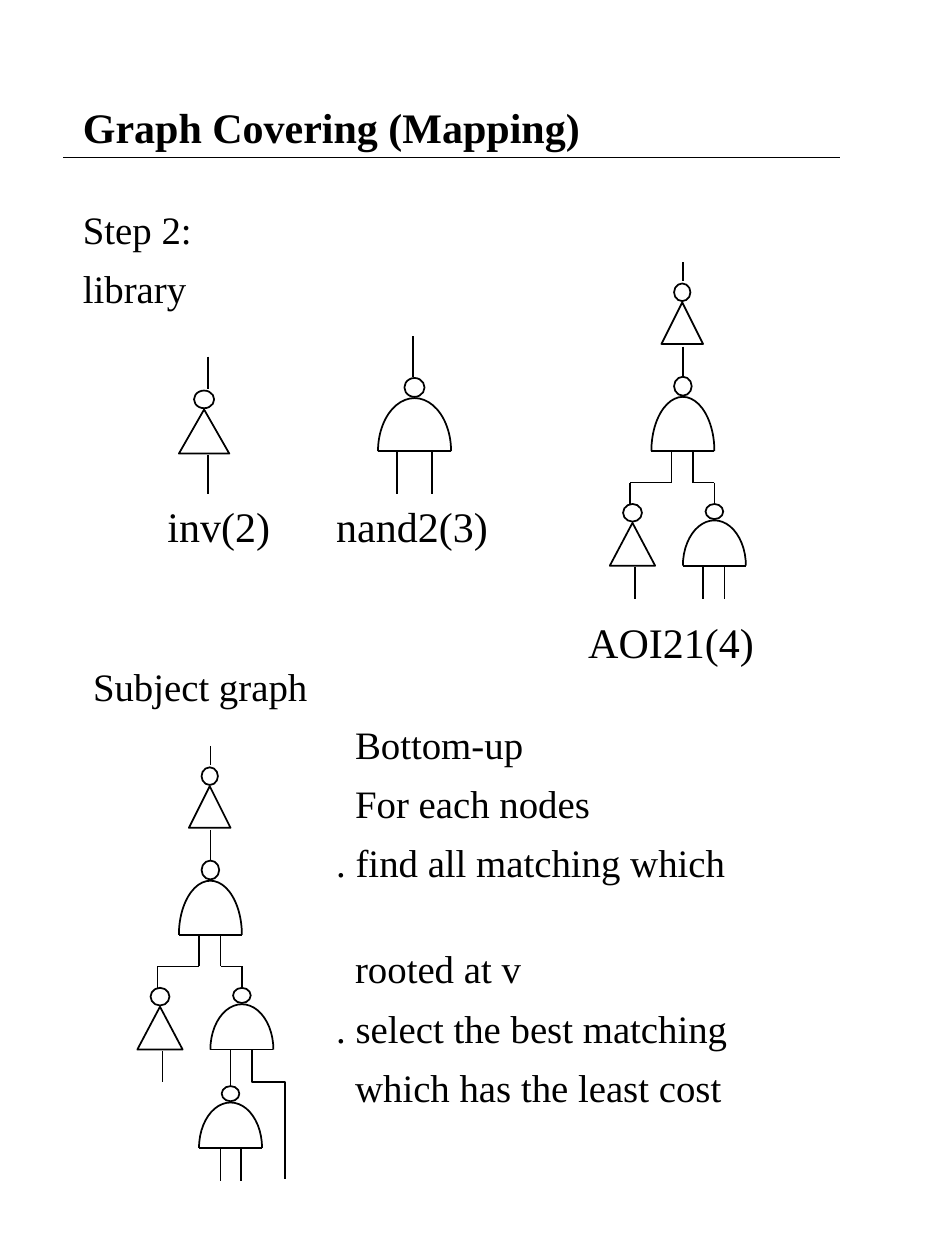
from pptx import Presentation
from pptx.dml.color import RGBColor
from pptx.enum.shapes import MSO_CONNECTOR, MSO_SHAPE
from pptx.enum.text import MSO_ANCHOR
from pptx.oxml.ns import qn
from pptx.util import Inches, Pt

STRAIGHT = MSO_CONNECTOR.STRAIGHT
TRIANGLE = MSO_SHAPE.ISOSCELES_TRIANGLE
ELLIPSE = MSO_SHAPE.OVAL
ARC = MSO_SHAPE.ARC
TOP, MIDDLE = MSO_ANCHOR.TOP, MSO_ANCHOR.MIDDLE
COLORS = {"ink": "000000", "paper": "FFFFFF"}
BUBBLE_GAP = 0.01


class GateSlide:
    font_name = "Times New Roman"
    line_width = Pt(1)

    def __init__(self, slide):
        self.slide = slide
        self.shapes = slide.shapes

    def color(self, name):
        return RGBColor.from_string(COLORS[name])

    def outline(self, shape):
        shape.line.color.rgb = self.color("ink")
        shape.line.width = self.line_width

    def text(self, left, top, width, height, rows, size, bold=False, anchor=TOP, wrap=True):
        box = self.shapes.add_textbox(Inches(left), Inches(top), Inches(width), Inches(height))
        frame = box.text_frame
        frame.word_wrap = wrap
        frame.vertical_anchor = anchor
        for index, (words, margin, space) in enumerate(rows):
            paragraph = frame.paragraphs[0] if index == 0 else frame.add_paragraph()
            paragraph.text = words
            paragraph.space_before = Pt(space)
            if margin:
                paragraph._p.get_or_add_pPr().set("marL", str(Inches(margin)))
            paragraph.font.name = self.font_name
            paragraph.font.size = Pt(size)
            paragraph.font.bold = bold
            paragraph.font.color.rgb = self.color("ink")

    def wire(self, *points):
        for (x1, y1), (x2, y2) in zip(points, points[1:]):
            line = self.shapes.add_connector(STRAIGHT, Inches(x1), Inches(y1), Inches(x2), Inches(y2))
            self.outline(line)
            properties = line._element.spPr
            properties.append(properties.makeelement(qn("a:effectLst"), {}))

    def bent_wire(self, *points):
        builder = self.shapes.build_freeform(Inches(points[0][0]), Inches(points[0][1]))
        builder.add_line_segments([(Inches(x), Inches(y)) for x, y in points[1:]], close=False)
        shape = builder.convert_to_shape()
        shape.shadow.inherit = False
        shape.fill.background()
        self.outline(shape)

    def preset(self, kind, left, top, width, height, filled=True):
        shape = self.shapes.add_shape(kind, Inches(left), Inches(top), Inches(width), Inches(height))
        shape.shadow.inherit = False
        if filled:
            shape.fill.solid()
            shape.fill.fore_color.rgb = self.color("paper")
        else:
            shape.fill.background()
        self.outline(shape)
        return shape

    def bubble(self, center, bottom, width, height):
        self.preset(ELLIPSE, center - width / 2, bottom - height, width, height)

    def inverter(self, left, top, width, height, bubble_width):
        self.preset(TRIANGLE, left, top, width, height)
        self.bubble(left + width / 2, top - BUBBLE_GAP, bubble_width, 0.14)

    def nand(self, left, top, width, height, bubble_width, bubble_height):
        arc = self.preset(ARC, left, top, width, 2 * height, filled=False)
        arc.adjustments[0] = 108
        arc.adjustments[1] = 0
        self.wire((left, top + height), (left + width, top + height))
        self.bubble(left + width / 2, top - BUBBLE_GAP, bubble_width, bubble_height)

    def small_nand(self, left, top):
        self.nand(left, top, 0.5, 0.36, 0.14, 0.12)

    def tree(self, center, top):
        self.wire((center, top), (center, top + 0.15))
        self.inverter(center - 0.17, top + 0.32, 0.33, 0.33, 0.13)
        self.wire((center, top + 0.67), (center, top + 0.92))
        self.nand(center - 0.25, top + 1.07, 0.5, 0.43, 0.14, 0.15)
        for inner, outer in ((-0.09, -0.42), (0.08, 0.25)):
            self.wire((center + inner, top + 1.5), (center + inner, top + 1.75),
                      (center + outer, top + 1.75), (center + outer, top + 1.92))
        self.inverter(center - 0.58, top + 2.07, 0.36, 0.34, 0.15)
        self.wire((center - 0.38, top + 2.42), (center - 0.38, top + 2.67))
        self.small_nand(center, top + 2.05)

    def inputs(self, positions, top, bottom):
        for x in positions:
            self.wire((x, top), (x, bottom))


def main():
    presentation = Presentation()
    presentation.slide_width = Inches(7.5)
    presentation.slide_height = Inches(10)
    page = GateSlide(presentation.slides.add_slide(presentation.slide_layouts[6]))

    page.text(0.56, 0.42, 6.37, 1.17, [("Graph Covering (Mapping)", 0, 0)], 24, bold=True, anchor=MIDDLE)
    page.wire((0.5, 1.25), (6.67, 1.25))
    page.text(0.56, 1.58, 2, 0.9, [("Step 2:", 0, 0), ("library", 0, 7.2)], 22.2)
    page.text(0.64, 5.21, 2.5, 0.45, [("Subject graph", 0, 0)], 22.2)
    page.text(2.57, 5.67, 4.36, 3.2, [
        ("Bottom-up", 0.15, 0),
        ("For each nodes", 0.15, 7.2),
        (". find all matching which", 0, 7.2),
        ("rooted at v", 0.15, 33.9),
        (". select the best matching", 0, 7.2),
        ("which has the least cost", 0.15, 7.2),
    ], 22.2)
    for label, left, top, width in (
        ("inv(2)", 1.23, 3.92, 1.02),
        ("nand2(3)", 2.57, 3.92, 1.41),
        ("AOI21(4)", 4.57, 4.84, 1.52),
    ):
        page.text(left, top, width, 0.5, [(label, 0, 0)], 24, wrap=False)

    page.inverter(1.42, 3.25, 0.4, 0.35, 0.16)
    page.wire((1.65, 2.83), (1.65, 3.09))
    page.wire((1.65, 3.61), (1.65, 3.92))

    page.wire((3.28, 2.67), (3.28, 2.99))
    page.nand(3, 3.16, 0.58, 0.42, 0.16, 0.15)
    page.inputs((3.15, 3.43), 3.59, 3.92)

    page.tree(5.42, 2.08)
    page.inputs((5.58, 5.75), 4.5, 4.75)

    page.tree(1.67, 5.92)
    page.wire((1.83, 8.33), (1.83, 8.62))
    page.bent_wire((2, 8.33), (2, 8.59), (2.26, 8.59), (2.26, 9.36))
    page.small_nand(1.58, 8.75)
    page.inputs((1.75, 1.91), 9.12, 9.37)

    presentation.save("out.pptx")


if __name__ == "__main__":
    main()
